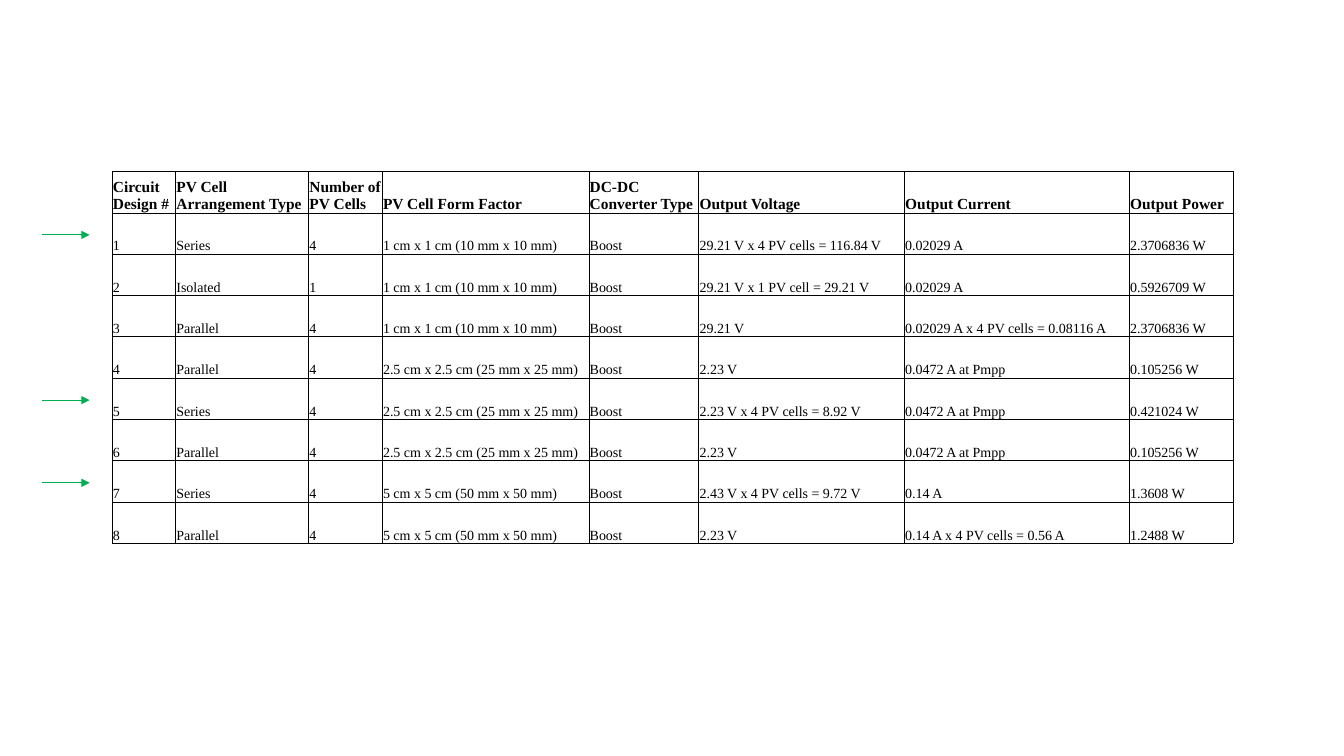
from dataclasses import dataclass

from lxml.etree import SubElement
from pptx import Presentation
from pptx.dml.color import RGBColor
from pptx.enum.shapes import MSO_CONNECTOR
from pptx.enum.text import MSO_ANCHOR
from pptx.oxml.ns import qn
from pptx.util import Inches, Pt


@dataclass(frozen=True)
class Theme:
    font: str = "Times New Roman"
    text: str = "000000"
    border: str = "000000"
    arrow: str = "00B050"
    header_size: float = 11
    body_size: float = 10
    border_width: float = 0.25
    arrow_width: float = 0.5


THEME = Theme()
TABLE_LEFT, TABLE_TOP, ROW_HEIGHT = 1.11, 1.7, 0.41
COLUMN_WIDTHS = [0.63, 1.32, 0.73, 2.05, 1.09, 2.04, 2.23, 1.03]
ARROW_START, ARROW_END, ARROW_DROP = 0.42, 0.89, 0.22
MARKED_DESIGNS = [1, 5, 7]

HEADERS = [
    "Circuit Design #", "PV Cell Arrangement Type", "Number of PV Cells",
    "PV Cell Form Factor", "DC-DC Converter Type", "Output Voltage",
    "Output Current", "Output Power",
]
SMALL = "1 cm x 1 cm (10 mm x 10 mm)"
MEDIUM = "2.5 cm x 2.5 cm (25 mm x 25 mm)"
LARGE = "5 cm x 5 cm (50 mm x 50 mm)"
DESIGNS = [
    ("Series", "4", SMALL, "29.21 V x 4 PV cells = 116.84 V", "0.02029 A", "2.3706836 W"),
    ("Isolated", "1", SMALL, "29.21 V x 1 PV cell = 29.21 V", "0.02029 A", "0.5926709 W"),
    ("Parallel", "4", SMALL, "29.21 V", "0.02029 A x 4 PV cells = 0.08116 A", "2.3706836 W"),
    ("Parallel", "4", MEDIUM, "2.23 V", "0.0472 A at Pmpp", "0.105256 W"),
    ("Series", "4", MEDIUM, "2.23 V x 4 PV cells = 8.92 V", "0.0472 A at Pmpp", "0.421024 W"),
    ("Parallel", "4", MEDIUM, "2.23 V", "0.0472 A at Pmpp", "0.105256 W"),
    ("Series", "4", LARGE, "2.43 V x 4 PV cells = 9.72 V", "0.14 A", "1.3608 W"),
    ("Parallel", "4", LARGE, "2.23 V", "0.14 A x 4 PV cells = 0.56 A", "1.2488 W"),
]


def apply_format(target, values):
    for name, value in values.items():
        setattr(target, name, value)


def add_borders(cell):
    properties = cell._tc.get_or_add_tcPr()
    for side in ("lnL", "lnR", "lnT", "lnB"):
        line = SubElement(properties, qn(f"a:{side}"), w=str(Pt(THEME.border_width)))
        fill = SubElement(line, qn("a:solidFill"))
        SubElement(fill, qn("a:srgbClr"), val=THEME.border)


def fill_cell(cell, text, is_header):
    apply_format(cell, {
        "text": text,
        "vertical_anchor": MSO_ANCHOR.BOTTOM,
        "margin_left": Inches(0.01),
        "margin_top": Inches(0.01),
        "margin_right": Inches(0.01),
        "margin_bottom": Inches(0),
    })
    add_borders(cell)
    cell.fill.background()
    font = cell.text_frame.paragraphs[0].runs[0].font
    apply_format(font, {
        "name": THEME.font,
        "size": Pt(THEME.header_size if is_header else THEME.body_size),
        "bold": is_header,
    })
    font.color.rgb = RGBColor.from_string(THEME.text)


def add_design_table(slide):
    rows = [HEADERS]
    for number, (arrangement, count, size, *outputs) in enumerate(DESIGNS, start=1):
        rows.append([str(number), arrangement, count, size, "Boost", *outputs])
    table = slide.shapes.add_table(
        len(rows), len(HEADERS), Inches(TABLE_LEFT), Inches(TABLE_TOP),
        Inches(sum(COLUMN_WIDTHS)), Inches(ROW_HEIGHT * len(rows)),
    ).table
    apply_format(table, {"first_row": False, "horz_banding": False})
    for column, width in zip(table.columns, COLUMN_WIDTHS):
        column.width = Inches(width)
    for row_index, texts in enumerate(rows):
        table.rows[row_index].height = Inches(ROW_HEIGHT)
        for column_index, text in enumerate(texts):
            fill_cell(table.cell(row_index, column_index), text, row_index == 0)


def add_arrow(slide, design_number):
    y = Inches(TABLE_TOP + ROW_HEIGHT * design_number + ARROW_DROP)
    arrow = slide.shapes.add_connector(
        MSO_CONNECTOR.STRAIGHT, Inches(ARROW_START), y, Inches(ARROW_END), y
    )
    arrow.line.width = Pt(THEME.arrow_width)
    arrow.line.color.rgb = RGBColor.from_string(THEME.arrow)
    SubElement(arrow.line._get_or_add_ln(), qn("a:tailEnd"), type="triangle")
    SubElement(arrow._element.spPr, qn("a:effectLst"))


def main():
    presentation = Presentation()
    apply_format(presentation, {"slide_width": Inches(13.33), "slide_height": Inches(7.5)})
    blank_layout = presentation.slide_layouts[6]
    slide = presentation.slides.add_slide(blank_layout)
    add_design_table(slide)
    for design_number in MARKED_DESIGNS:
        add_arrow(slide, design_number)
    presentation.save("out.pptx")


if __name__ == "__main__":
    main()
